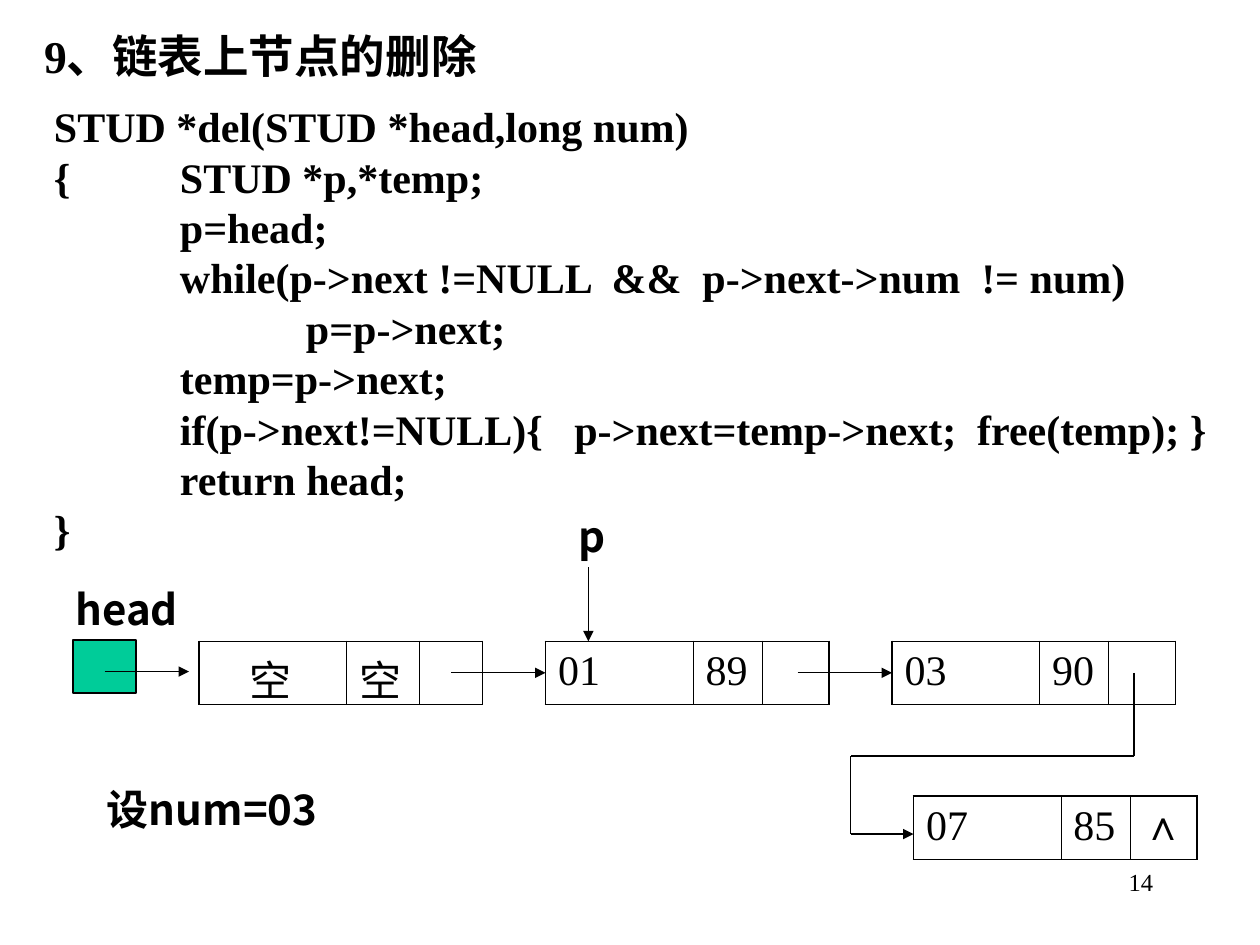
from itertools import pairwise

from lxml.etree import SubElement
from pptx import Presentation
from pptx.dml.color import RGBColor
from pptx.enum.shapes import MSO_CONNECTOR, MSO_SHAPE
from pptx.enum.text import MSO_ANCHOR, MSO_AUTO_SIZE, PP_ALIGN
from pptx.oxml import parse_xml
from pptx.oxml.ns import nsdecls, qn
from pptx.util import Inches, Pt

BLACK = RGBColor(0x00, 0x00, 0x00)
GREEN = RGBColor(0x00, 0xCC, 0x99)
SERIF = "Times New Roman"
SANS = "Noto Sans CJK SC"

NODE_WIDTH, NODE_HEIGHT = 2.25, 0.5
NODE_STEP = 2.75
LINK_START = 2.0
OUTER_BORDER, INNER_BORDER = 1.08, 0.45

CODE = """STUD *del(STUD *head,long num)
{\tSTUD *p,*temp;
\tp=head;
\twhile(p->next !=NULL  &&  p->next->num  != num)
\t\tp=p->next;
\ttemp=p->next;
\tif(p->next!=NULL){   p->next=temp->next;  free(temp); }
\treturn head;
}"""


def format_runs(paragraph, size, font_name, bold):
    for run in paragraph.runs:
        run.font.size = Pt(size)
        run.font.name = font_name
        run.font.bold = bold
        run.font.color.rgb = BLACK


def add_label(slide, box, text, size=24, font_name=SANS, bold=True, align=PP_ALIGN.LEFT):
    label = slide.shapes.add_textbox(*map(Inches, box))
    frame = label.text_frame
    frame.word_wrap = True
    frame.text = text
    for paragraph in frame.paragraphs:
        paragraph.alignment = align
        format_runs(paragraph, size, font_name, bold)
    return label


def add_title(slide, box, text):
    title = slide.shapes.title
    title.left, title.top, title.width, title.height = map(Inches, box)
    frame = title.text_frame
    frame.text = text
    frame.auto_size = MSO_AUTO_SIZE.NONE
    frame.vertical_anchor = MSO_ANCHOR.TOP
    frame.paragraphs[0].alignment = PP_ALIGN.LEFT
    format_runs(frame.paragraphs[0], 26, SERIF, True)


def add_code(slide, box):
    listing = add_label(slide, box, CODE, font_name=SERIF)
    for paragraph in listing.text_frame.paragraphs:
        tab_stops = SubElement(paragraph._p.get_or_add_pPr(), qn("a:tabLst"))
        for stop in (1, 2):
            SubElement(tab_stops, qn("a:tab"), pos=str(Inches(stop)), algn="l")
        paragraph.line_spacing = Pt(28.8)


def add_link(slide, points):
    """Join the points with straight lines, with an arrowhead at the last one."""
    for start, end in pairwise(points):
        line = slide.shapes.add_connector(MSO_CONNECTOR.STRAIGHT, *map(Inches, start + end))
        line.line.color.rgb = BLACK
        line.line.width = Pt(0.75)
        SubElement(line._element.spPr, qn("a:effectLst"))
    SubElement(line.line._get_or_add_ln(), qn("a:tailEnd"), type="triangle")


def set_borders(cell, left, right):
    widths = {"lnL": left, "lnR": right, "lnT": OUTER_BORDER, "lnB": OUTER_BORDER}
    properties = cell._tc.get_or_add_tcPr()
    for position, (side, width) in enumerate(widths.items()):
        properties.insert(position, parse_xml(
            f'<a:{side} {nsdecls("a")} w="{Pt(width)}"><a:solidFill>'
            f'<a:srgbClr val="{BLACK}"/></a:solidFill></a:{side}>'))


def add_node(slide, left, top, fields, widths=(1.17, 0.55, 0.53), first_inset=0.1):
    """Draw a list node with its number, score and next-pointer fields."""
    box = map(Inches, (left, top, NODE_WIDTH, NODE_HEIGHT))
    table = slide.shapes.add_table(1, len(fields), *box).table
    table.first_row = table.horz_banding = False
    last = len(fields) - 1
    for index, (field, width) in enumerate(zip(fields, widths)):
        table.columns[index].width = Inches(width)
        cell = table.cell(0, index)
        cell.text = field
        cell.margin_left = Inches(0.1 if index else first_inset)
        cell.fill.background()
        format_runs(cell.text_frame.paragraphs[0], 24, SERIF, False)
        set_borders(cell, INNER_BORDER if index else OUTER_BORDER,
                    OUTER_BORDER if index == last else INNER_BORDER)


def add_head_pointer(slide, left, top):
    add_label(slide, (left - 0.08, top - 0.5, 1.25, 0.5), "head")
    pointer = slide.shapes.add_shape(
        MSO_SHAPE.RECTANGLE, *map(Inches, (left, top, 0.5, 0.42)))
    pointer.shadow.inherit = False
    pointer.fill.solid()
    pointer.fill.fore_color.rgb = GREEN
    pointer.line.color.rgb = BLACK
    pointer.line.width = Pt(0.75)
    add_link(slide, [(left + 0.25, top + 0.25), (left + 0.92, top + 0.25)])


def add_linked_list(slide, left, top):
    second, third = left + NODE_STEP, left + 2 * NODE_STEP
    middle = top + NODE_HEIGHT / 2
    add_node(slide, left, top, ("空", "空", ""), (1.17, 0.58, 0.5), first_inset=0.4)
    add_node(slide, second, top, ("01", "89", ""))
    add_node(slide, third, top, ("03", "90", ""))
    for node_left in (left, second):
        add_link(slide, [(node_left + LINK_START, middle), (node_left + NODE_STEP, middle)])

    tail_left, tail_top = third + 0.17, top + 1.23
    add_node(slide, tail_left, tail_top, ("07", "85", "∧"))
    source, turn = third + 1.92, tail_left - 0.5
    bend, entry = top + 0.91, tail_top + 0.3
    add_link(slide, [(source, middle), (source, bend), (turn, bend),
                     (turn, entry), (tail_left, entry)])

    pointer = second + 0.34
    add_label(slide, (second + 0.16, top - 1.09, 0.41, 0.5), "p")
    add_link(slide, [(pointer, top - 0.59), (pointer, top)])


def main():
    deck = Presentation()
    deck.slide_width, deck.slide_height = Inches(10), Inches(7.5)
    slide = deck.slides.add_slide(deck.slide_layouts[5])
    add_title(slide, (0.25, 0.17, 9.42, 0.54), "9、链表上节点的删除")
    add_code(slide, (0.33, 0.75, 9.42, 3.7))
    add_head_pointer(slide, 0.58, 5.08)
    add_linked_list(slide, 1.58, 5.09)
    add_label(slide, (0.75, 6.17, 2.25, 0.5), "设num=03")
    add_label(slide, (7.17, 6.83, 2.08, 0.5), "14", 14, SERIF, False, PP_ALIGN.RIGHT)
    deck.save("out.pptx")


if __name__ == "__main__":
    main()
